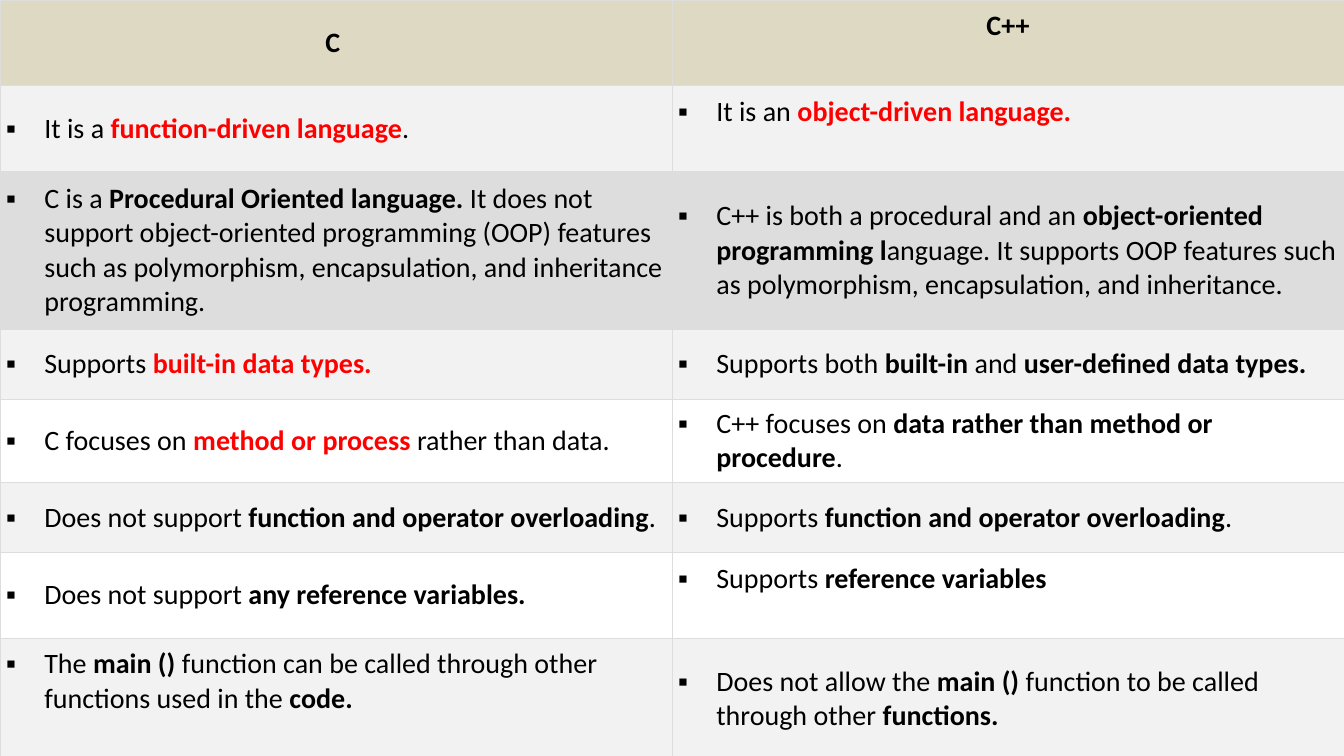
import lxml.etree
import pptx
import pptx.dml.color
import pptx.enum.text
import pptx.oxml.ns
import pptx.util

Inches = pptx.util.Inches
Pt = pptx.util.Pt
qn = pptx.oxml.ns.qn
ANCHOR = pptx.enum.text.MSO_ANCHOR

FONT = "Calibri"
RED, BLACK, BORDER = "FF0000", "000000", "DDDDDD"
HEADER, LIGHT, GREY, WHITE = "DDD9C3", "F2F2F2", "DDDDDD", "FFFFFF"
INDENT = Inches(0.38)


def rgb(value):
    return pptx.dml.color.RGBColor.from_string(value)


def add_border(cell, side):
    properties = cell._tc.get_or_add_tcPr()
    line = lxml.etree.SubElement(properties, qn(f"a:ln{side}"), w=str(Pt(0.75)))
    solid = lxml.etree.SubElement(line, qn("a:solidFill"))
    lxml.etree.SubElement(solid, qn("a:srgbClr"), val=BORDER)


rows = [
    (0.85, HEADER, ["", "C "], ["", "C++"]),
    (0.85, LIGHT,
     ["It is a ", "function-driven language", "."],
     ["It is an ", "object-driven language."]),
    (1.57, GREY,
     ["C is a ", "Procedural Oriented language. ",
      "It does not support object-oriented programming (OOP) features such as "
      "polymorphism, encapsulation, and inheritance programming."],
     ["C++ is both a procedural and an ", "object-oriented programming l",
      "anguage. It supports OOP features such as polymorphism, encapsulation, "
      "and inheritance."]),
    (0.69, LIGHT,
     ["Supports ", "built-in data types."],
     ["Supports both ", "built-in", " and ", "user-defined data types."]),
    (0.83, WHITE,
     ["C focuses on ", "method or process ", "rather than data."],
     ["C++ focuses on ", "data rather than method or procedure", "."]),
    (0.69, LIGHT,
     ["Does not support ", "function and operator overloading", ". "],
     ["Supports ", "function and operator overloading", "."]),
    (0.85, WHITE,
     ["Does not support ", "any reference variables."],
     ["Supports ", "reference variables"]),
    (1.21, LIGHT,
     ["The ", "main () ", "function can be called through other functions used in the ",
      "code."],
     ["Does not allow the ", "main () ", "function to be called through other ",
      "functions."]),
]
red_cells = {(1, 0), (1, 1), (3, 0), (4, 0)}
top_cells = {(0, 1), (1, 1), (6, 1), (7, 0)}

presentation = pptx.Presentation()
presentation.slide_width = Inches(13.33)
presentation.slide_height = Inches(7.5)
slide = presentation.slides.add_slide(presentation.slide_layouts[6])

table_height = Inches(sum(row[0] for row in rows))
table = slide.shapes.add_table(
    len(rows), 2, 0, 0, presentation.slide_width, table_height).table
table.horz_banding = False
table.first_row = True
for column in table.columns:
    column.width = presentation.slide_width // 2

for row_index, (height, fill, *texts) in enumerate(rows):
    table.rows[row_index].height = Inches(height)
    for column_index, pieces in enumerate(texts):
        place = (row_index, column_index)
        cell = table.cell(*place)
        for side in "LRTB":
            add_border(cell, side)
        cell.fill.solid()
        cell.fill.fore_color.rgb = rgb(fill)
        at_top = place in top_cells
        cell.vertical_anchor = ANCHOR.TOP if at_top else ANCHOR.MIDDLE
        cell.margin_left = cell.margin_right = cell.margin_bottom = Inches(0.06)
        cell.margin_top = Inches(0.09 if at_top else 0.06)

        paragraph = cell.text_frame.paragraphs[0]
        if row_index == 0:
            paragraph.alignment = pptx.enum.text.PP_ALIGN.CENTER
        else:
            paragraph.alignment = pptx.enum.text.PP_ALIGN.LEFT
            settings = paragraph._p.get_or_add_pPr()
            settings.set("marL", str(INDENT))
            settings.set("indent", str(-INDENT))
            lxml.etree.SubElement(settings, qn("a:buFont"), typeface=FONT)
            lxml.etree.SubElement(settings, qn("a:buChar"), char="▪")

        for piece_index, piece in enumerate(pieces):
            if not piece:
                continue
            bold = piece_index % 2 == 1
            run = paragraph.add_run()
            run.text = piece
            run.font.name = FONT
            run.font.size = Pt(20)
            run.font.bold = bold
            run.font.color.rgb = rgb(RED if bold and place in red_cells else BLACK)

presentation.save("out.pptx")
